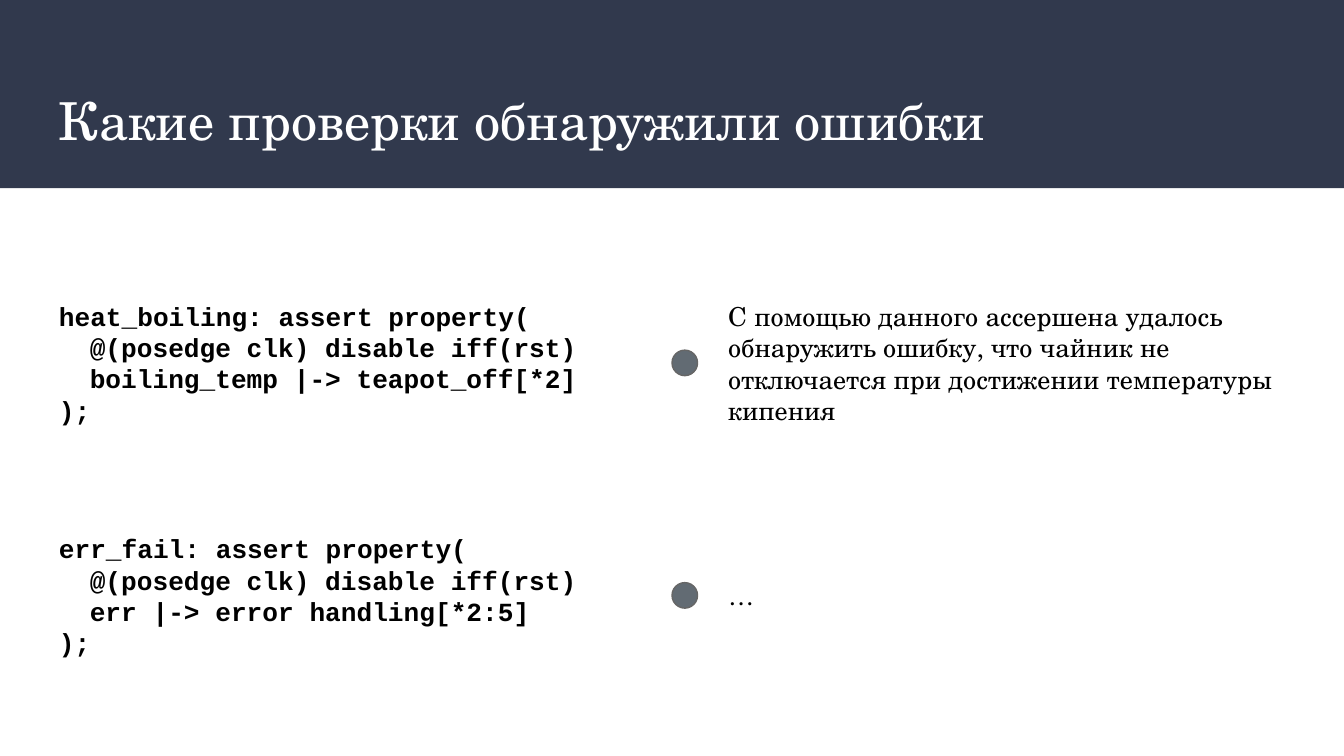
from dataclasses import dataclass

from pptx import Presentation
from pptx.dml.color import RGBColor
from pptx.enum.shapes import MSO_SHAPE
from pptx.enum.text import MSO_ANCHOR
from pptx.util import Inches, Pt

RECT, OVAL = MSO_SHAPE.RECTANGLE, MSO_SHAPE.OVAL
MIDDLE = MSO_ANCHOR.MIDDLE


@dataclass(frozen=True)
class Theme:
    """Colours, type and spacing of the slide."""
    band: str = "31394D"
    dot: str = "626B73"
    dot_line: str = "666666"
    title: dict = None
    body: dict = None
    code: dict = None
    pitch: float = 16.8
    inset: float = 0.1
    code_indent: float = 0.23


SERIF = "TeX Gyre Schola"
THEME = Theme(
    title={"name": SERIF, "size": Pt(28), "color": "FFFFFF"},
    body={"name": SERIF, "size": Pt(14), "color": "000000"},
    code={"name": "Courier New", "size": Pt(14), "bold": True, "color": "000000"},
)
WIDTH = 10
HEIGHT = WIDTH * 9 / 16
BAND_HEIGHT = 0.14 * WIDTH
MARGIN = 0.034 * WIDTH
ROW_TOP, ROW_PITCH, ROW_HEIGHT = 2.13, 1.73, 1.14
DOT_LEFT, DOT_SIZE = 0.5 * WIDTH, 0.19
NOTE_LEFT, NOTE_WIDTH = 0.532 * WIDTH, 0.45 * WIDTH

CHECKS = [
    {
        "code": [(0, "heat_boiling: assert property("),
                 (1, "@(posedge clk) disable iff(rst)"),
                 (1, "boiling_temp |-> teapot_off[*2]"),
                 (0, ");")],
        "code_width": 4.17,
        "note": "С помощью данного ассершена удалось обнаружить ошибку, "
                "что чайник не отключается при достижении температуры кипения",
        "note_lines": 4,
    },
    {
        "code": [(0, "err_fail: assert property("),
                 (1, "@(posedge clk) disable iff(rst)"),
                 (1, "err |-> error handling[*2:5]"),
                 (0, ");")],
        "code_width": 4.66,
        "note": "…",
        "note_lines": 1,
    },
]


def add_shape(s, kind, box, fill, line=None):
    """Add a flat shape with a fill and an optional outline."""
    sp = s.shapes.add_shape(kind, *map(Inches, box))
    sp.shadow.inherit = False
    sp.fill.solid()
    sp.fill.fore_color.rgb = RGBColor.from_string(fill)
    if line:
        sp.line.color.rgb = RGBColor.from_string(line)
        sp.line.width = Pt(0.75)
    else:
        sp.line.fill.background()


def add_text(s, box, lines, style, pitch=None):
    """Add a text box from pairs of indent level and wording."""
    tf = s.shapes.add_textbox(*map(Inches, box)).text_frame
    frame = {"word_wrap": True, "vertical_anchor": MIDDLE}
    frame |= {f"margin_{side}": Inches(THEME.inset)
              for side in ("left", "top", "right", "bottom")}
    for key, value in frame.items():
        setattr(tf, key, value)
    for i, (level, text) in enumerate(lines):
        p = tf.add_paragraph() if i else tf.paragraphs[0]
        if pitch:
            p.line_spacing = Pt(pitch)
        if level:
            p._p.get_or_add_pPr().set("marL", str(Inches(level * THEME.code_indent)))
        r = p.add_run()
        r.text = text
        for key, value in style.items():
            if key == "color":
                r.font.color.rgb = RGBColor.from_string(value)
            else:
                setattr(r.font, key, value)


def add_header(s, box, title):
    """Draw the title band with the title in its lower part."""
    left, top, width, height = box
    add_shape(s, RECT, box, THEME.band)
    title_box = (left + MARGIN, top + 0.39 * height, width - 2 * MARGIN, 0.49 * height)
    add_text(s, title_box, [(0, title)], THEME.title)


def add_check(s, box, check):
    """Draw one row: code, dot and note centred on the row's middle."""
    left, top, _, height = box
    middle = top + height / 2
    add_text(s, (left + MARGIN, top, check["code_width"], height),
             check["code"], THEME.code, THEME.pitch)
    add_shape(s, OVAL, (left + DOT_LEFT, middle - DOT_SIZE / 2, DOT_SIZE, DOT_SIZE),
              THEME.dot, THEME.dot_line)
    note_height = 2 * THEME.inset + check["note_lines"] * THEME.pitch / 72
    add_text(s, (left + NOTE_LEFT, middle - note_height / 2, NOTE_WIDTH, note_height),
             [(0, check["note"])], THEME.body)


def main():
    """Build and save the slide."""
    prs = Presentation()
    prs.slide_width, prs.slide_height = Inches(WIDTH), Inches(HEIGHT)
    s = prs.slides.add_slide(prs.slide_layouts[6])
    add_header(s, (0, 0, WIDTH, BAND_HEIGHT), "Какие проверки обнаружили ошибки")
    for i, check in enumerate(CHECKS):
        add_check(s, (0, ROW_TOP + i * ROW_PITCH, WIDTH, ROW_HEIGHT), check)
    prs.save("out.pptx")


if __name__ == "__main__":
    main()
